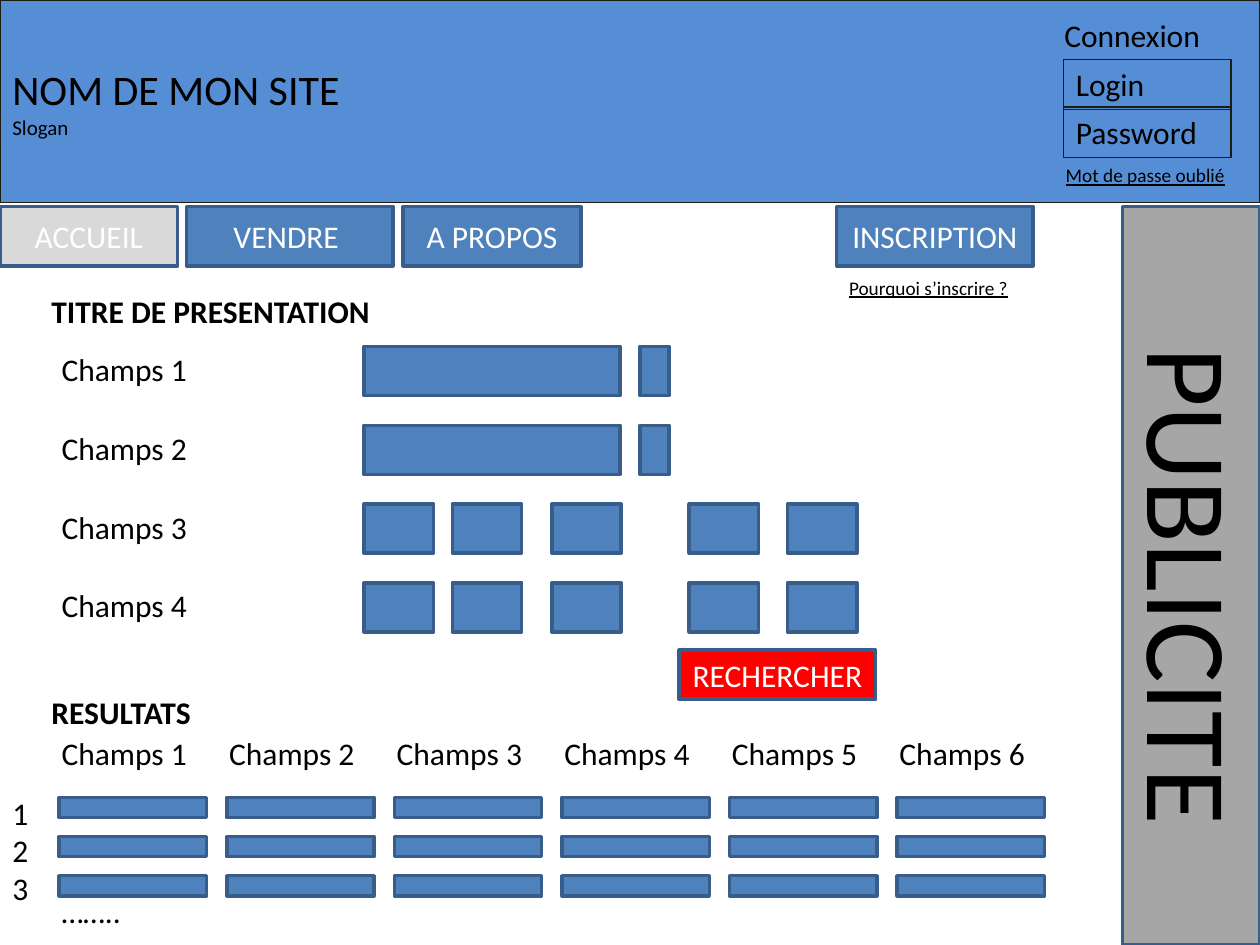
import dataclasses
import typing

import pptx
import pptx.dml.color
import pptx.enum.shapes
import pptx.enum.text
import pptx.util

Inches = pptx.util.Inches
ALIGN = pptx.enum.text.PP_ALIGN
ANCHOR = pptx.enum.text.MSO_ANCHOR

COLORS = {
    "header": "558ED5",
    "header_line": "1E1C11",
    "block": "4F81BD",
    "block_line": "385D8A",
    "active": "D9D9D9",
    "advert": "A6A6A6",
    "search": "FF0000",
    "black": "000000",
    "white": "FFFFFF",
}


@dataclasses.dataclass
class Label:
    left: float
    top: float
    width: float
    height: float
    text: str
    size: float = 18
    bold: bool = False
    underline: bool = False
    align: ALIGN = ALIGN.LEFT
    anchor: ANCHOR = ANCHOR.TOP
    rotation: float = 0


@dataclasses.dataclass
class Box:
    left: float
    top: float
    width: float
    height: float
    text: str = ""
    fill: typing.Optional[str] = "block"
    line: str = "block_line"
    line_width: float = 2
    color: str = "white"
    align: ALIGN = ALIGN.CENTER
    anchor: ANCHOR = ANCHOR.MIDDLE


def rgb(name: str) -> pptx.dml.color.RGBColor:
    """Return the named colour."""
    return pptx.dml.color.RGBColor.from_string(COLORS[name])


def style_font(font, size: float, color: str) -> None:
    """Apply the common typeface with a size and colour."""
    font.name = "Calibri"
    font.size = pptx.util.Pt(size)
    font.color.rgb = rgb(color)


def add_label(slide, label: Label) -> None:
    """Add a text box, one paragraph for each line of text."""
    shape = slide.shapes.add_textbox(
        Inches(label.left), Inches(label.top), Inches(label.width), Inches(label.height)
    )
    shape.rotation = label.rotation
    frame = shape.text_frame
    frame.word_wrap = True
    frame.vertical_anchor = label.anchor
    frame.text = label.text
    for paragraph in frame.paragraphs:
        paragraph.alignment = label.align
        style_font(paragraph.font, label.size, "black")
        paragraph.font.bold = label.bold
        paragraph.font.underline = label.underline


def add_box(slide, box: Box):
    """Add a rectangle with optional text and return it."""
    shape = slide.shapes.add_shape(
        pptx.enum.shapes.MSO_SHAPE.RECTANGLE,
        Inches(box.left), Inches(box.top), Inches(box.width), Inches(box.height),
    )
    shape.shadow.inherit = False
    if box.fill:
        shape.fill.solid()
        shape.fill.fore_color.rgb = rgb(box.fill)
    else:
        shape.fill.background()
    shape.line.color.rgb = rgb(box.line)
    shape.line.width = pptx.util.Pt(box.line_width)
    frame = shape.text_frame
    frame.word_wrap = True
    frame.vertical_anchor = box.anchor
    paragraph = frame.paragraphs[0]
    paragraph.alignment = box.align
    if box.text:
        paragraph.text = box.text
        style_font(paragraph.font, 18, box.color)
    return shape


def add_header(slide) -> None:
    """Draw the site banner and the login area."""
    banner = add_box(slide, Box(0, 0, 10, 1.61, fill="header", line="header_line",
                                line_width=0.75, align=ALIGN.LEFT))
    paragraph = banner.text_frame.paragraphs[0]
    name = paragraph.add_run()
    name.text = "NOM DE MON SITE"
    style_font(name.font, 24, "black")
    paragraph.add_line_break()
    slogan = paragraph.add_run()
    slogan.text = "Slogan"
    style_font(slogan.font, 12, "black")

    add_label(slide, Label(7.89, 0.08, 2.19, 0.4, "Connexion", align=ALIGN.CENTER))
    for top, text in ((0.47, "Login"), (0.85, "Password")):
        add_box(slide, Box(8.44, top, 1.33, 0.4, text, fill=None, line="header_line",
                           line_width=0.75, color="black", align=ALIGN.LEFT,
                           anchor=ANCHOR.TOP))
    add_label(slide, Label(8.36, 1.25, 1.56, 0.29, "Mot de passe oublié", 11, underline=True))


def add_advert(slide) -> None:
    """Draw the advertising column."""
    add_box(slide, Box(8.91, 1.64, 1.09, 5.86, fill="advert"))
    add_label(slide, Label(7.09, 4.05, 4.77, 1.2, "PUBLICITE", 66,
                           align=ALIGN.CENTER, rotation=90))


def add_navigation(slide) -> None:
    """Draw the menu buttons and the sign-up link."""
    buttons = (
        (0, 1.41, "ACCUEIL", "active"),
        (1.48, 1.64, "VENDRE ", "block"),
        (3.2, 1.41, "A PROPOS", "block"),
        (6.64, 1.56, "INSCRIPTION", "block"),
    )
    for left, width, text, fill in buttons:
        add_box(slide, Box(left, 1.64, width, 0.47, text, fill))
    add_label(slide, Label(6.64, 2.14, 1.56, 0.29, "Pourquoi s’inscrire ?", 11, underline=True))


def add_search_form(slide) -> None:
    """Draw the search fields and their button."""
    add_label(slide, Label(0.31, 2.27, 4.77, 0.39, "TITRE DE PRESENTATION",
                           bold=True, anchor=ANCHOR.MIDDLE))
    wide_fields = ((2.89, 2.03), (5.08, 0.23))
    small_fields = tuple((left, 0.55) for left in (2.89, 3.59, 4.38, 5.47, 6.25))
    rows = (wide_fields, wide_fields, small_fields, small_fields)
    for index, fields in enumerate(rows):
        top = 2.75 + index * 0.625
        add_label(slide, Label(0.39, top - 0.02, 2.19, 0.4, f"Champs {index + 1}"))
        for left, width in fields:
            add_box(slide, Box(left, top, width, 0.39))
    add_box(slide, Box(5.39, 5.16, 1.56, 0.39, "RECHERCHER", "search"))


def add_results(slide) -> None:
    """Draw the grid of results."""
    add_label(slide, Label(0.31, 5.45, 1.41, 0.4, "RESULTATS", bold=True))
    add_label(slide, Label(0, 6.25, 0.23, 1, "1\n2\n3"))
    for column in range(6):
        left = 0.47 + column * 1.33
        add_label(slide, Label(left - 0.08, 5.78, 1.72, 0.4, f"Champs {column + 1}"))
        for row in range(3):
            add_box(slide, Box(left, 6.33 + row * 0.31, 1.17, 0.16))
    add_label(slide, Label(0.39, 7.03, 1.17, 0.4, "…….."))


def main() -> None:
    """Build the site mock-up slide."""
    presentation = pptx.Presentation()
    presentation.slide_width = Inches(10)
    presentation.slide_height = Inches(7.5)
    slide = presentation.slides.add_slide(presentation.slide_layouts[6])
    add_header(slide)
    add_advert(slide)
    add_navigation(slide)
    add_search_form(slide)
    add_results(slide)
    presentation.save("out.pptx")


if __name__ == "__main__":
    main()
